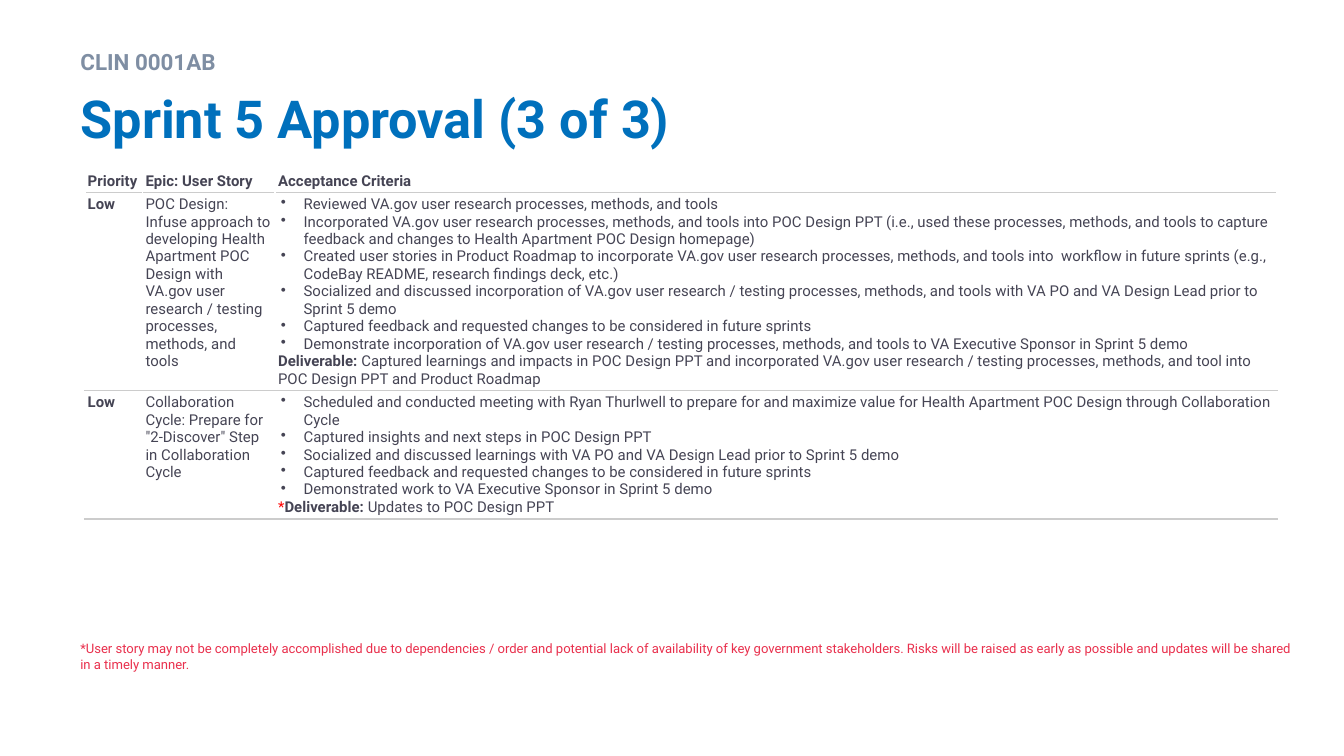
from lxml import etree
from pptx import Presentation
from pptx.dml.color import RGBColor
from pptx.enum.text import MSO_ANCHOR, MSO_AUTO_SIZE, PP_ALIGN
from pptx.oxml.ns import qn
from pptx.util import Pt

TOP = MSO_ANCHOR.TOP
MIDDLE = MSO_ANCHOR.MIDDLE
BOTTOM = MSO_ANCHOR.BOTTOM
FIXED = MSO_AUTO_SIZE.NONE
LEFT = PP_ALIGN.LEFT

INK = RGBColor(0x45, 0x44, 0x54)
BLUE = RGBColor(0x00, 0x70, 0xBC)
SLATE = RGBColor(0x7F, 0x8E, 0xA3)
RED = RGBColor(0xFF, 0x00, 0x00)
ROSE = RGBColor(0xE9, 0x30, 0x4D)
GREY = RGBColor(0xCC, 0xCC, 0xCC)
WHITE = RGBColor(0xFF, 0xFF, 0xFF)

HEADS = ["Priority", "Epic: User Story", "Acceptance Criteria"]
STORIES = [
    (
        "Low",
        "POC Design: Infuse approach to developing Health Apartment POC Design with VA.gov user research / testing processes, methods, and tools",
        [
            "Reviewed VA.gov user research processes, methods, and tools",
            "Incorporated VA.gov user research processes, methods, and tools into POC Design PPT (i.e., used these processes, methods, and tools to capture feedback and changes to Health Apartment POC Design homepage)",
            "Created user stories in Product Roadmap to incorporate VA.gov user research processes, methods, and tools into  workflow in future sprints (e.g., CodeBay README, research findings deck, etc.)",
            "Socialized and discussed incorporation of VA.gov user research / testing processes, methods, and tools with VA PO and VA Design Lead prior to Sprint 5 demo",
            "Captured feedback and requested changes to be considered in future sprints",
            "Demonstrate incorporation of VA.gov user research / testing processes, methods, and tools to VA Executive Sponsor in Sprint 5 demo",
        ],
        "",
        "Captured learnings and impacts in POC Design PPT and incorporated VA.gov user research / testing processes, methods, and tool into POC Design PPT and Product Roadmap",
    ),
    (
        "Low",
        "Collaboration Cycle: Prepare for \"2-Discover\" Step in Collaboration Cycle",
        [
            "Scheduled and conducted meeting with Ryan Thurlwell to prepare for and maximize value for Health Apartment POC Design through Collaboration Cycle",
            "Captured insights and next steps in POC Design PPT",
            "Socialized and discussed learnings with VA PO and VA Design Lead prior to Sprint 5 demo",
            "Captured feedback and requested changes to be considered in future sprints",
            "Demonstrated work to VA Executive Sponsor in Sprint 5 demo",
        ],
        "*",
        "Updates to POC Design PPT",
    ),
]
NOTE = "*User story may not be completely accomplished due to dependencies / order and potential lack of availability of key government stakeholders. Risks will be raised as early as possible and updates will be shared in a timely manner."


class Deck:
    face = "Roboto"
    small = 8

    def __init__(self):
        self.deck = Presentation()
        self.deck.slide_width = Pt(720)
        self.deck.slide_height = Pt(405)
        self.slide = self.deck.slides.add_slide(self.deck.slide_layouts[5])

    def style(self, para, size, color, bold=False):
        para.alignment = LEFT
        font = para.font
        font.name, font.size, font.bold = self.face, Pt(size), bold
        font.color.rgb = color

    def fill(self, frame, text, size, color, bold, inset, anchor, space):
        frame.word_wrap = True
        frame.auto_size = FIXED
        frame.vertical_anchor = anchor
        frame.margin_left = frame.margin_right = Pt(7.2)
        frame.margin_top = frame.margin_bottom = Pt(inset)
        para = frame.paragraphs[0]
        para.text = text
        para.line_spacing = space
        self.style(para, size, color, bold)

    def title(self, text, x, y, w, h):
        shape = self.slide.shapes.title
        shape.left, shape.top, shape.width, shape.height = map(Pt, (x, y, w, h))
        self.fill(shape.text_frame, text, 28, BLUE, True, 3.6, MIDDLE, 0.9)

    def label(self, text, x, y, w, h, size, color, bold=False, inset=7.2, space=1.0):
        box = self.slide.shapes.add_textbox(*map(Pt, (x, y, w, h)))
        self.fill(box.text_frame, text, size, color, bold, inset, TOP, space)

    def border(self, cell, sides):
        props = cell._tc.get_or_add_tcPr()
        for side, color in sides.items():
            line = etree.SubElement(props, qn("a:ln" + side), w=str(Pt(0.75)))
            solid = etree.SubElement(line, qn("a:solidFill"))
            etree.SubElement(solid, qn("a:srgbClr"), val=str(color))

    def bullet(self, para):
        props = para._p.get_or_add_pPr()
        props.set("marL", str(Pt(13.68)))
        props.set("indent", str(Pt(-12.24)))
        tint = etree.SubElement(props, qn("a:buClr"))
        etree.SubElement(tint, qn("a:srgbClr"), val=str(INK))
        etree.SubElement(props, qn("a:buChar"), char="•")

    def cell(self, cell, text, bold, anchor, sides):
        cell.margin_left = cell.margin_right = Pt(1.6)
        cell.margin_top = cell.margin_bottom = Pt(1.6)
        cell.vertical_anchor = anchor
        self.border(cell, sides)
        cell.fill.background()
        para = cell.text_frame.paragraphs[0]
        para.text = text
        self.style(para, self.small, INK, bold)

    def goals(self, cell, items, mark, result):
        frame = cell.text_frame
        for i, item in enumerate(items):
            para = frame.add_paragraph() if i else frame.paragraphs[0]
            para.text = item
            self.bullet(para)
            self.style(para, self.small, INK)
        para = frame.add_paragraph()
        self.style(para, self.small, INK)
        if mark:
            run = para.add_run()
            run.text = mark
            run.font.color.rgb = RED
        run = para.add_run()
        run.text = "Deliverable: "
        run.font.bold = True
        para.add_run().text = result

    def table(self, heads, rows, x, y, widths, heights):
        table = self.slide.shapes.add_table(
            len(heights), len(widths), Pt(x), Pt(y), Pt(sum(widths)), Pt(sum(heights))
        ).table
        table.first_row = table.horz_banding = False
        for col, width in zip(table.columns, widths):
            col.width = Pt(width)
        for row, height in zip(table.rows, heights):
            row.height = Pt(height)
        rim = {"L": WHITE, "R": WHITE, "T": WHITE, "B": GREY}
        for c, head in enumerate(heads):
            self.cell(table.cell(0, c), head, True, BOTTOM, rim)
        rule = {"T": GREY, "B": GREY}
        for r, (rank, story, items, mark, result) in enumerate(rows, 1):
            for c, text in enumerate((rank, story, "")):
                self.cell(table.cell(r, c), text, c == 0, TOP, rule)
            self.goals(table.cell(r, 2), items, mark, result)


def main():
    deck = Deck()
    deck.table(HEADS, STORIES, 45.4, 90.7, (31, 71, 536.6), (12, 106, 68))
    deck.label("CLIN 0001AB", 36, 19.5, 648, 21, 12, SLATE, True, 3.6, 1.2)
    deck.title("Sprint 5 Approval (3 of 3)", 36, 40.3, 648, 49.7)
    deck.label(NOTE, 36, 336.2, 668, 31.7, 7, ROSE)
    deck.deck.save("out.pptx")


if __name__ == "__main__":
    main()
